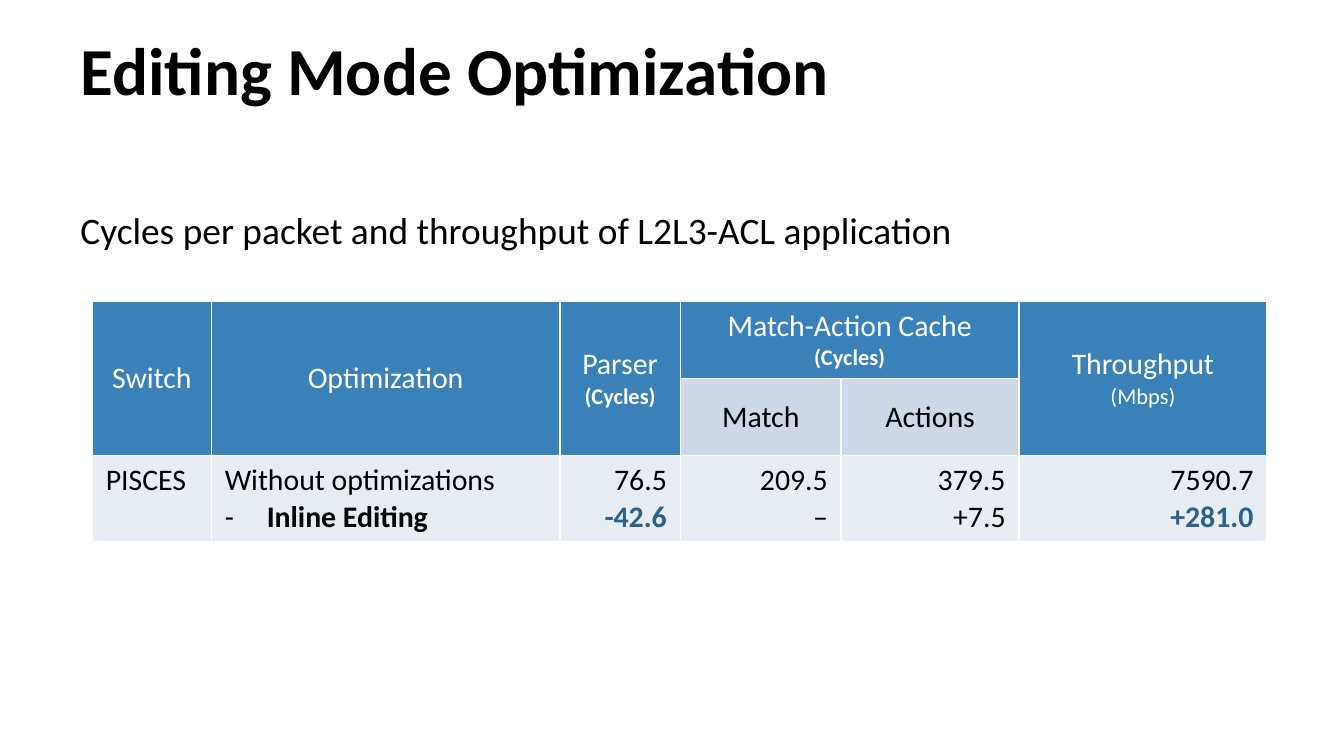
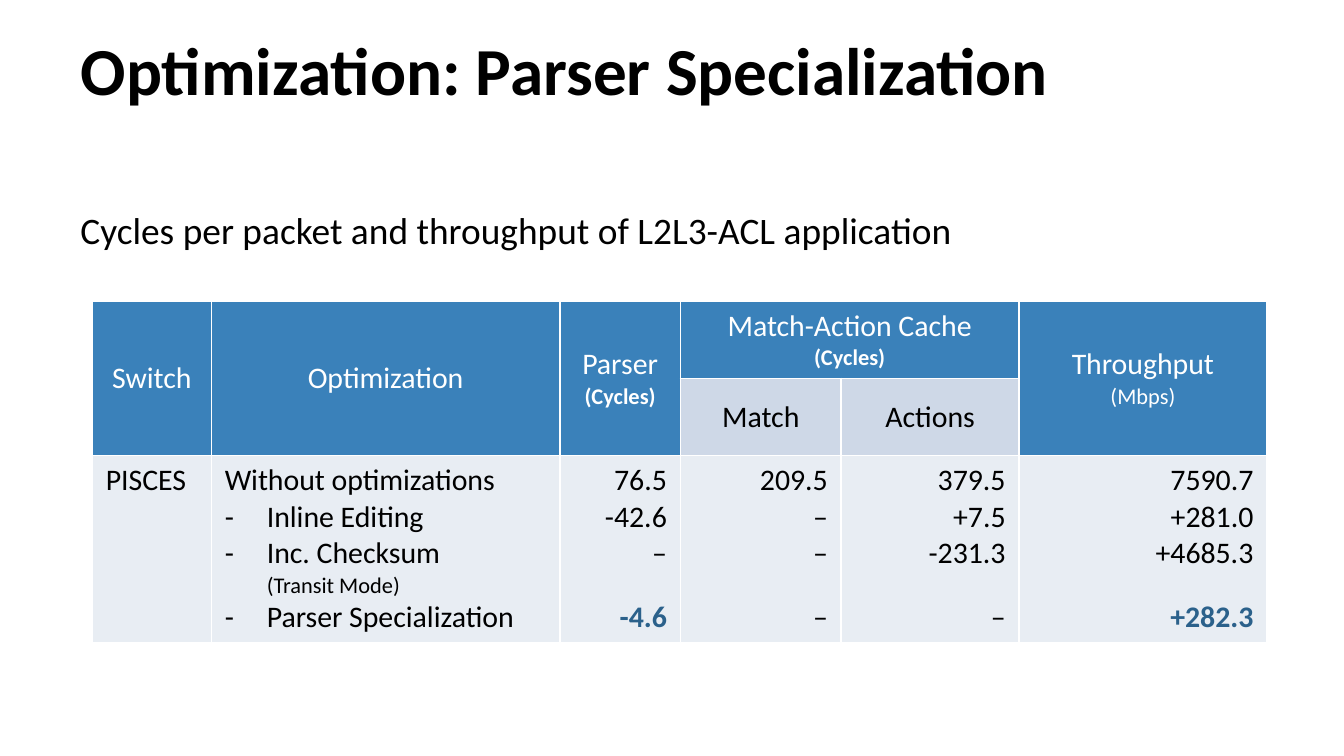
import dataclasses
import typing

import lxml.etree
import pptx
import pptx.dml.color
import pptx.enum.text
import pptx.oxml.ns
import pptx.util

PX = 9525
COLOURS = {
    "black": "000000",
    "white": "FFFFFF",
    "header": "3A81BA",
    "subheader": "CED8E7",
    "body": "E8EDF3",
    "gain": "2B618B",
}
FONT = "Calibri"
COLUMN_WIDTHS = (85, 249, 86, 115, 127, 177)
HEADER_HEIGHT = 55
BULLET_INDENT = 30
ALIGN = pptx.enum.text.PP_ALIGN
ANCHOR = pptx.enum.text.MSO_ANCHOR
AUTO_SIZE = pptx.enum.text.MSO_AUTO_SIZE

STYLES = {
    "title": {"size": pptx.util.Pt(36), "bold": True},
    "caption": {"size": pptx.util.Pt(20), "bold": False},
    "plain": {"size": pptx.util.Pt(16), "bold": False},
    "strong": {"size": pptx.util.Pt(16), "bold": True},
    "note": {"size": pptx.util.Pt(12), "bold": False},
    "unit": {"size": pptx.util.Pt(12), "bold": True},
}


@dataclasses.dataclass(frozen=True)
class Line:
    text: str
    style: str = "plain"
    colour: str = "black"
    note: str = ""
    dashed: bool = False
    gap: float = 0


@dataclasses.dataclass(frozen=True)
class Heading:
    row: int
    column: int
    label: str
    unit: str = ""
    unit_style: str = "unit"
    rows: int = 1
    columns: int = 1


@dataclasses.dataclass(frozen=True)
class Step:
    name: str
    values: tuple[str, str, str, str]
    style: str = "plain"
    note: str = ""
    highlighted: bool = False


@dataclasses.dataclass(frozen=True)
class Result:
    title: str
    body_height: int
    steps: tuple[Step, ...]


HEADINGS = (
    Heading(0, 0, "Switch", rows=2),
    Heading(0, 1, "Optimization", rows=2),
    Heading(0, 2, "Parser", "(Cycles)", rows=2),
    Heading(0, 3, "Match-Action Cache", "(Cycles)", columns=2),
    Heading(0, 5, "Throughput", "(Mbps)", "note", rows=2),
    Heading(1, 3, "Match"),
    Heading(1, 4, "Actions"),
)
BASELINE = Step("Without optimizations", ("76.5", "209.5", "379.5", "7590.7"))
INLINE_VALUES = ("-42.6", "–", "+7.5", "+281.0")
RESULTS = (
    Result("Editing Mode Optimization", 61, (
        BASELINE,
        Step("Inline Editing", INLINE_VALUES, "strong", highlighted=True),
    )),
    Result("Optimization: Parser Specialization", 133, (
        BASELINE,
        Step("Inline Editing", INLINE_VALUES),
        Step("Inc. Checksum", ("–", "–", "-231.3", "+4685.3"), note="(Transit Mode)"),
        Step("Parser Specialization", ("-4.6", "–", "–", "+282.3"), highlighted=True),
    )),
)


def rgb(colour: str) -> pptx.dml.color.RGBColor:
    return pptx.dml.color.RGBColor.from_string(COLOURS[colour])


def apply(target: typing.Any, formats: dict[str, typing.Any]) -> None:
    for name, value in formats.items():
        setattr(target, name, value)


def add_run(paragraph: typing.Any, text: str, style: str, colour: str) -> None:
    run = paragraph.add_run()
    run.text = text
    apply(run.font, {"name": FONT, **STYLES[style]})
    run.font.color.rgb = rgb(colour)


def add_dash(paragraph: typing.Any) -> None:
    properties = paragraph._p.get_or_add_pPr()
    properties.set("marL", str(BULLET_INDENT * PX))
    properties.set("indent", str(-BULLET_INDENT * PX))
    for tag, name, value in (("a:buFont", "typeface", FONT), ("a:buChar", "char", "-")):
        lxml.etree.SubElement(properties, pptx.oxml.ns.qn(tag)).set(name, value)


def write(frame: typing.Any, lines: typing.Sequence[Line], alignment: typing.Any) -> None:
    for index, line in enumerate(lines):
        paragraph = frame.add_paragraph() if index else frame.paragraphs[0]
        if line.dashed:
            add_dash(paragraph)
        paragraph.alignment = alignment
        if line.gap:
            paragraph.space_before = pptx.util.Pt(line.gap)
        add_run(paragraph, line.text, line.style, line.colour)
        if line.note:
            paragraph.add_line_break()
            add_run(paragraph, line.note, "note", line.colour)


def paint(cell: typing.Any, fill: str) -> None:
    properties = cell._tc.get_or_add_tcPr()
    for side in "LRTB":
        border = lxml.etree.SubElement(properties, pptx.oxml.ns.qn(f"a:ln{side}"))
        border.set("w", str(pptx.util.Pt(1)))
        solid = lxml.etree.SubElement(border, pptx.oxml.ns.qn("a:solidFill"))
        lxml.etree.SubElement(solid, pptx.oxml.ns.qn("a:srgbClr")).set("val", COLOURS["white"])
    cell.fill.solid()
    cell.fill.fore_color.rgb = rgb(fill)


def add_headings(table: typing.Any) -> None:
    for heading in HEADINGS:
        cell = table.cell(heading.row, heading.column)
        if heading.rows * heading.columns > 1:
            cell.merge(table.cell(
                heading.row + heading.rows - 1, heading.column + heading.columns - 1,
            ))
        colour, fill = ("black", "subheader") if heading.row else ("white", "header")
        lines = [Line(heading.label, colour=colour)]
        if heading.unit:
            lines.append(Line(heading.unit, heading.unit_style, colour))
        write(cell.text_frame, lines, ALIGN.CENTER)
        cell.vertical_anchor = ANCHOR.MIDDLE
        paint(cell, fill)


def value_lines(steps: tuple[Step, ...], column: int) -> list[Line]:
    lines = []
    gap = 0.0
    for step in steps:
        gain = step.highlighted and column in (0, 3)
        style, colour = ("strong", "gain") if gain else ("plain", "black")
        lines.append(Line(step.values[column], style, colour, gap=gap))
        gap = 14.6 if step.note else 0.0
    return lines


def add_measurements(table: typing.Any, steps: tuple[Step, ...]) -> None:
    names = [
        Line(step.name, step.style, note=step.note, dashed=index > 0)
        for index, step in enumerate(steps)
    ]
    columns = [[Line("PISCES")], names] + [value_lines(steps, column) for column in range(4)]
    for index, lines in enumerate(columns):
        cell = table.cell(2, index)
        write(cell.text_frame, lines, ALIGN.LEFT if index < 2 else ALIGN.RIGHT)
        paint(cell, "body")


def add_title(slide: typing.Any, text: str) -> None:
    title = slide.shapes.title
    apply(title, {"left": 48 * PX, "top": 22 * PX, "width": 864 * PX, "height": 66 * PX})
    apply(title.text_frame, {
        "word_wrap": True,
        "auto_size": AUTO_SIZE.NONE,
        "vertical_anchor": ANCHOR.BOTTOM,
        "margin_top": 10 * PX,
        "margin_bottom": 10 * PX,
    })
    write(title.text_frame, [Line(text, "title")], ALIGN.LEFT)


def add_caption(slide: typing.Any) -> None:
    caption = slide.shapes.add_textbox(48 * PX, 143 * PX, 780 * PX, 42 * PX)
    apply(caption.text_frame, {"word_wrap": True, "auto_size": AUTO_SIZE.SHAPE_TO_FIT_TEXT})
    text = "Cycles per packet and throughput of L2L3-ACL application"
    write(caption.text_frame, [Line(text, "caption")], ALIGN.LEFT)


def add_result_table(slide: typing.Any, result: Result) -> None:
    heights = (HEADER_HEIGHT, HEADER_HEIGHT, result.body_height)
    table = slide.shapes.add_table(
        len(heights), len(COLUMN_WIDTHS),
        66 * PX, 215 * PX, sum(COLUMN_WIDTHS) * PX, sum(heights) * PX,
    ).table
    for column, width in zip(table.columns, COLUMN_WIDTHS):
        column.width = width * PX
    for row, height in zip(table.rows, heights):
        row.height = height * PX
    add_headings(table)
    add_measurements(table, result.steps)


def main() -> None:
    deck = pptx.Presentation()
    apply(deck, {"slide_width": 960 * PX, "slide_height": 540 * PX})
    for result in RESULTS:
        slide = deck.slides.add_slide(deck.slide_layouts[5])
        add_result_table(slide, result)
        add_caption(slide)
        add_title(slide, result.title)
    deck.save("out.pptx")


if __name__ == "__main__":
    main()
